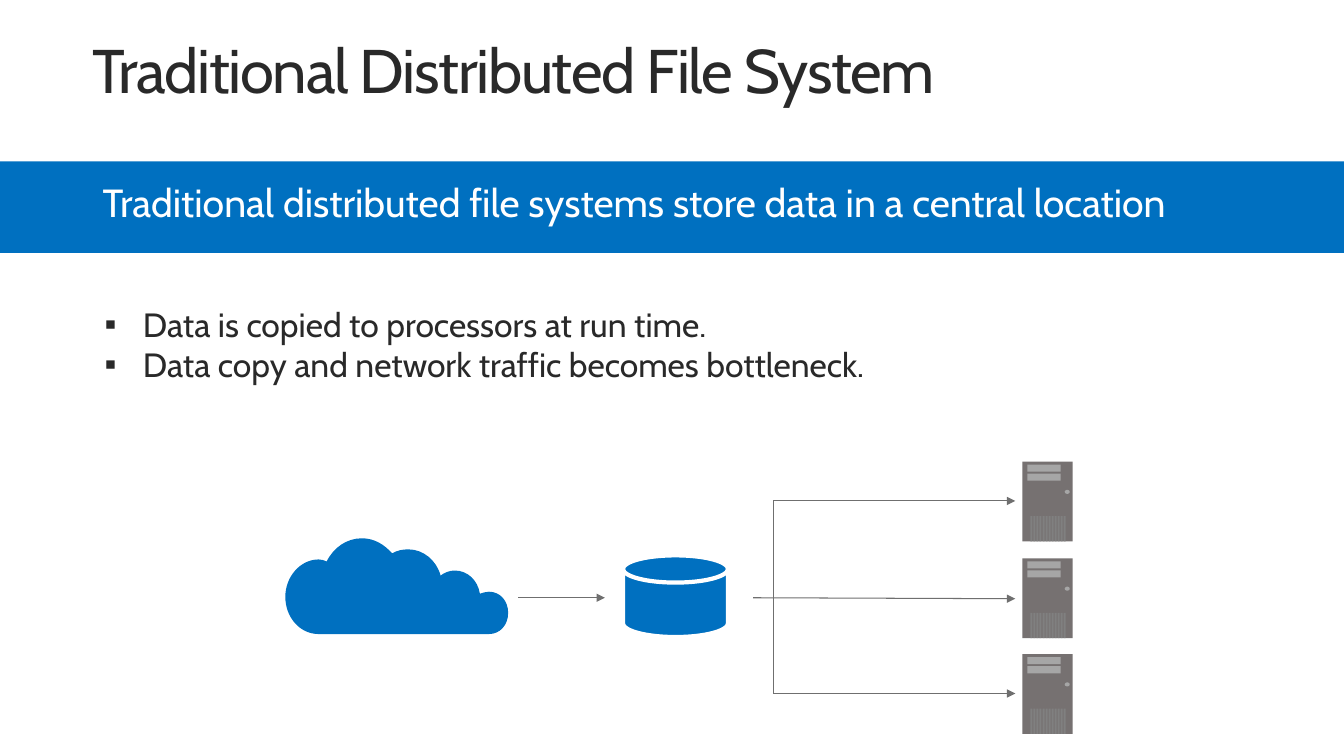
from dataclasses import dataclass

from lxml import etree
from pptx import Presentation
from pptx.dml.color import RGBColor
from pptx.enum.shapes import MSO_CONNECTOR, MSO_SHAPE
from pptx.enum.text import MSO_ANCHOR
from pptx.oxml.ns import qn
from pptx.util import Inches, Pt

RECTANGLE, OVAL = MSO_SHAPE.RECTANGLE, MSO_SHAPE.OVAL
DISK = MSO_SHAPE.FLOWCHART_MAGNETIC_DISK
STRAIGHT = MSO_CONNECTOR.STRAIGHT
TOP, MIDDLE = MSO_ANCHOR.TOP, MSO_ANCHOR.MIDDLE

TITLE = "Traditional Distributed File System"
BANNER = "Traditional distributed file systems store data in a central location"
BULLETS = [
    "Data is copied to processors at run time.",
    "Data copy and network traffic becomes bottleneck.",
]


@dataclass(frozen=True)
class Theme:
    font: str = "Cabin"
    ink: str = "292929"
    blue: str = "0070C0"
    white: str = "FFFFFF"
    arrow: str = "6F6F6F"
    case: str = "767171"
    panel: str = "A6A6A6"
    vent: str = "808080"
    title_size: int = 44
    banner_size: int = 28
    bullet_size: int = 24


THEME = Theme()
WIDTH, HEIGHT = 13.33, 7.5
MARGIN = 0.92

SERVER_LEFT, SERVER_TOPS = 10.14, (4.58, 5.54, 6.49)
SERVER_SIZE = (0.5, 0.79)
# Parts of one server, measured from its top left corner
SERVER_PARTS = [
    (RECTANGLE, (0, 0, *SERVER_SIZE), THEME.case),
    (OVAL, (0.42, 0.28, 0.05, 0.04), THEME.panel),
    (RECTANGLE, (0.05, 0.03, 0.33, 0.07), THEME.panel),
    (RECTANGLE, (0.05, 0.12, 0.33, 0.07), THEME.panel),
] + [
    (RECTANGLE, (0.08 + 0.03 * index, 0.54, 0.02, 0.25), THEME.vent)
    for index in range(12)
]

TRUNK_X, ARROW_END = 7.67, 10.07
UPPER_Y, MIDDLE_Y, LOWER_Y = 4.97, 5.93, 6.88
# Start, end, has an arrowhead
FLOWS = [
    ((7.47, MIDDLE_Y), (ARROW_END, 5.94), True),
    ((TRUNK_X, UPPER_Y), (ARROW_END, UPPER_Y), True),
    ((TRUNK_X, LOWER_Y), (ARROW_END, LOWER_Y), True),
    ((5.14, MIDDLE_Y), (6, MIDDLE_Y), True),
    ((TRUNK_X, UPPER_Y), (TRUNK_X, LOWER_Y), False),
]

CLOUD_START = (4.85, 5.87)
# Two control points and an end point for each curve
CLOUD_CURVES = [
    ((4.82, 5.87), (4.79, 5.88), (4.76, 5.89)),
    ((4.74, 5.76), (4.64, 5.66), (4.51, 5.66)),
    ((4.46, 5.66), (4.41, 5.68), (4.37, 5.71)),
    ((4.33, 5.56), (4.2, 5.45), (4.05, 5.45)),
    ((3.99, 5.45), (3.94, 5.46), (3.89, 5.49)),
    ((3.81, 5.4), (3.71, 5.34), (3.59, 5.34)),
    ((3.44, 5.34), (3.31, 5.43), (3.24, 5.57)),
    ((3.22, 5.56), (3.19, 5.55), (3.16, 5.55)),
    ((2.98, 5.55), (2.83, 5.72), (2.83, 5.92)),
    ((2.83, 6.13), (2.98, 6.29), (3.16, 6.29)),
    ((3.17, 6.29), (3.18, 6.29), (3.19, 6.29)),
    ((4.83, 6.29), (4.83, 6.29), (4.83, 6.29)),
    ((4.84, 6.29), (4.84, 6.29), (4.85, 6.29)),
    ((4.96, 6.29), (5.04, 6.2), (5.04, 6.08)),
    ((5.04, 5.96), (4.96, 5.87), CLOUD_START),
]


def color(value):
    return RGBColor.from_string(value)


def paint(shape, fill, outline=None, weight=0):
    shape.shadow.inherit = False
    shape.fill.solid()
    shape.fill.fore_color.rgb = color(fill)
    if outline:
        shape.line.color.rgb = color(outline)
        shape.line.width = Pt(weight)
    else:
        shape.line.fill.background()


def add_shape(slide, kind, box, fill, outline=None, weight=0):
    shape = slide.shapes.add_shape(kind, *map(Inches, box))
    paint(shape, fill, outline, weight)


def add_text(slide, box, lines, size, ink, anchor=MIDDLE, inset=None, **spacing):
    text_box = slide.shapes.add_textbox(*map(Inches, box))
    frame = text_box.text_frame
    frame.word_wrap = True
    frame.vertical_anchor = anchor
    if inset is not None:
        for side in ("left", "top", "right", "bottom"):
            setattr(frame, f"margin_{side}", Inches(inset))
    frame.text = "\n".join(lines)
    for paragraph in frame.paragraphs:
        for name, value in spacing.items():
            setattr(paragraph, name, value)
        font = paragraph.runs[0].font
        for name, value in {"name": THEME.font, "size": Pt(size)}.items():
            setattr(font, name, value)
        font.color.rgb = color(ink)
    return frame.paragraphs


def add_bullet(paragraph, left, indent):
    properties = paragraph._p.get_or_add_pPr()
    properties.set("marL", str(Inches(left)))
    properties.set("indent", str(Inches(indent)))
    etree.SubElement(properties, qn("a:buFont")).set("typeface", "Arial")
    etree.SubElement(properties, qn("a:buChar")).set("char", "▪")


def add_flow(slide, start, end, arrowhead):
    points = map(Inches, (*start, *end))
    connector = slide.shapes.add_connector(STRAIGHT, *points)
    connector.line.color.rgb = color(THEME.arrow)
    connector.line.width = Pt(0.75)
    properties = connector._element.spPr
    if arrowhead:
        line = properties.find(qn("a:ln"))
        etree.SubElement(line, qn("a:tailEnd")).set("type", "triangle")
    etree.SubElement(properties, qn("a:effectLst"))


def add_cloud(slide):
    """Outline the cloud by its curve ends, then bend each segment."""
    builder = slide.shapes.build_freeform(*map(Inches, CLOUD_START))
    builder.add_line_segments(
        [tuple(map(Inches, curve[-1])) for curve in CLOUD_CURVES], close=True)
    cloud = builder.convert_to_shape()
    paint(cloud, THEME.blue)
    segments = list(cloud._element.iter(qn("a:lnTo")))
    for segment, curve in zip(segments, CLOUD_CURVES):
        bend = etree.Element(qn("a:cubicBezTo"))
        for x, y in curve:
            point = etree.SubElement(bend, qn("a:pt"))
            point.set("x", str(Inches(x) - cloud.left))
            point.set("y", str(Inches(y) - cloud.top))
        segment.getparent().replace(segment, bend)


def main():
    presentation = Presentation()
    presentation.slide_width = Inches(WIDTH)
    presentation.slide_height = Inches(HEIGHT)
    slide = presentation.slides.add_slide(presentation.slide_layouts[6])

    title = add_text(slide, (MARGIN, 0.4, 12.2, 0.68), [TITLE], THEME.title_size,
                     THEME.ink, anchor=TOP, inset=0, line_spacing=0.9)
    title[0].runs[0].font._element.set("spc", "-100")

    add_shape(slide, RECTANGLE, (0, 1.6, WIDTH, 0.91), THEME.blue)
    add_text(slide, (MARGIN, 1.58, 11.63, 0.91), [BANNER], THEME.banner_size,
             THEME.white, line_spacing=0.9, space_before=Pt(10))
    for paragraph in add_text(slide, (0, 2.48, WIDTH, 1.87), BULLETS,
                              THEME.bullet_size, THEME.ink):
        add_bullet(paragraph, 1.32, -0.38)

    for start, end, arrowhead in FLOWS:
        add_flow(slide, start, end, arrowhead)
    add_shape(slide, DISK, (6.18, 5.51, 1.04, 0.81), THEME.blue, THEME.white, 3)
    add_cloud(slide)
    for top in SERVER_TOPS:
        for kind, (x, y, width, height), fill in SERVER_PARTS:
            add_shape(slide, kind, (SERVER_LEFT + x, top + y, width, height), fill)

    presentation.save("out.pptx")


if __name__ == "__main__":
    main()
